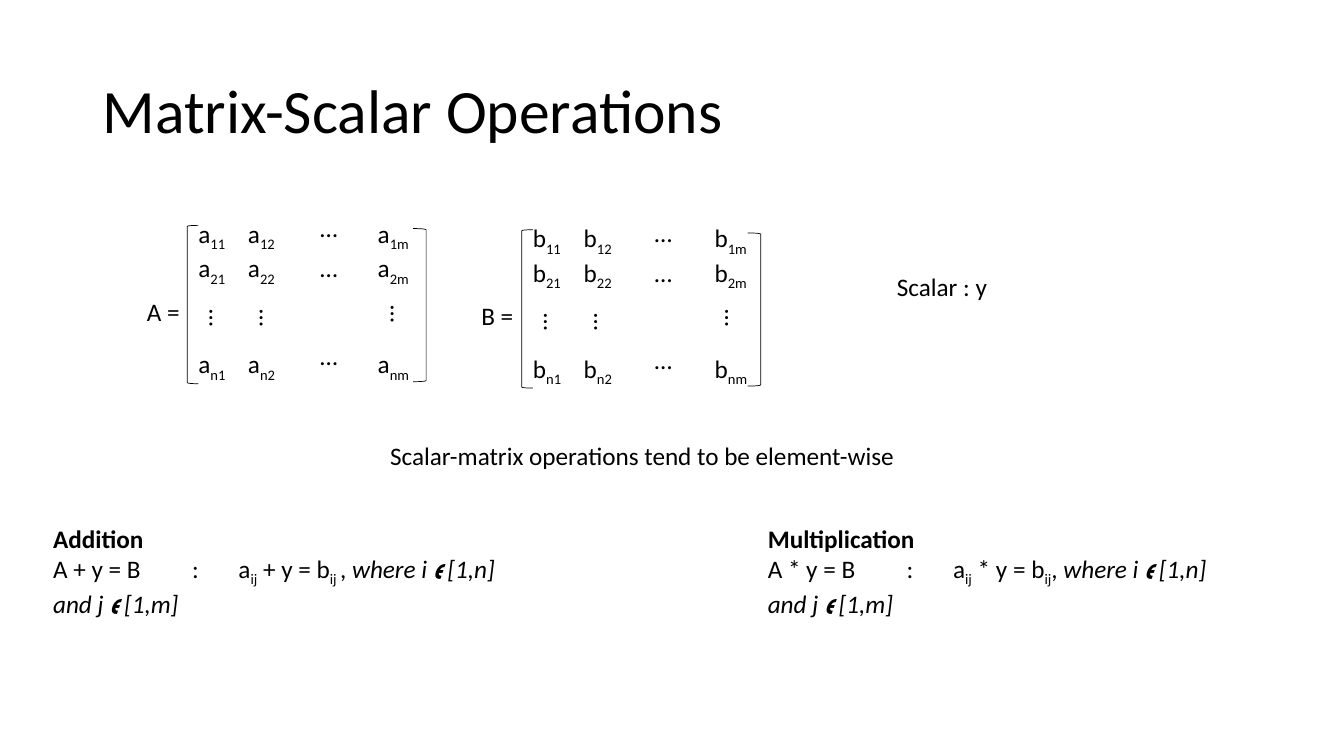
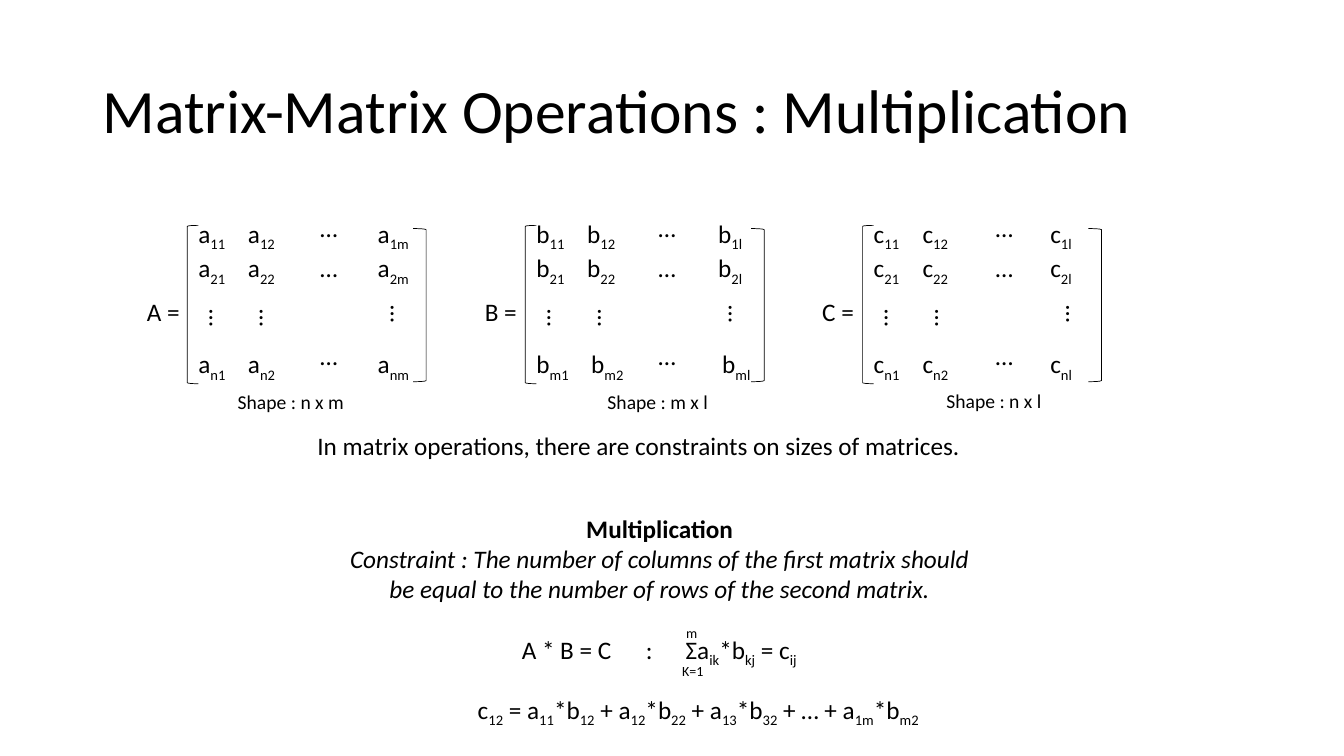
"""Build two slides on matrix-scalar and matrix-matrix operations."""
from lxml import etree
from pptx import Presentation
from pptx.dml.color import RGBColor
from pptx.enum import shapes, text as txt
from pptx.oxml import ns
from pptx.util import Cm, Pt

INK = "000000"
FONT = "Calibri"


def box(slide, x, y, w, h, wrap=True):
    added = slide.shapes.add_textbox(Cm(x), Cm(y), Cm(w), Cm(h))
    added.text_frame.word_wrap = wrap
    return added


def write(frame, content, size=18, bold=False, italic=False, align="LEFT",
          before=0, spacing=None, tabs=(), join=False):
    """Write a paragraph, or extend the last one; {braces} mark subscripts."""
    para = frame.paragraphs[-1]
    if para.runs and not join:
        para = frame.add_paragraph()
    if not join:
        para.alignment = getattr(txt.PP_ALIGN, align)
        if before:
            para.space_before = Pt(before)
        if spacing:
            para.line_spacing = spacing
        if tabs:
            stops = etree.SubElement(para._p.get_or_add_pPr(), ns.qn("a:tabLst"))
            for stop in tabs:
                etree.SubElement(stops, ns.qn("a:tab"), pos=str(Cm(stop)), algn="l")
    for i, piece in enumerate(content.replace("}", "{").split("{")):
        if not piece:
            continue
        run = para.add_run()
        run.text = piece
        run.font.name = FONT
        run.font.size = Pt(size)
        run.font.bold = bold
        run.font.italic = italic
        run.font.color.rgb = RGBColor.from_string(INK)
        if i % 2:
            run._r.get_or_add_rPr().set("baseline", "-25000")


deck = Presentation()
deck.slide_width, deck.slide_height = Cm(33.87), Cm(19.05)

TITLES = ["Matrix-Scalar Operations", "Matrix-Matrix Operations : Multiplication"]
pages = []
for heading in TITLES:
    page = deck.slides.add_slide(deck.slide_layouts[5])
    title = page.shapes.title
    title.left, title.top, title.width, title.height = Cm(2.33), Cm(1.01), Cm(29.21), Cm(3.68)
    title.text_frame.vertical_anchor = txt.MSO_ANCHOR.MIDDLE
    write(title.text_frame, heading, size=44, spacing=0.9)
    pages.append(page)
scalar_page, product_page = pages

MATRICES = [
    (scalar_page, "a", 4.75, 5.38, "n", "m", (1.25, 4.52), 0),
    (scalar_page, "b", 13.18, 5.49, "n", "m", (1.28, 4.58), 0),
    (product_page, "a", 4.75, 5.38, "n", "m", (1.25, 4.52), 0),
    (product_page, "b", 13.27, 5.38, "m", "l", (1.28, 4.58), 0.1),
    (product_page, "c", 21.77, 5.38, "n", "l", (1.23, 4.45), 0),
]
ELLIPSES = [(3.07, -0.15, 0), (3.07, 0.86, 0), (3.07, 3.07, 0),
            (0.28, 2.16, 90), (1.55, 2.16, 90), (4.85, 2.06, 90)]
BRACKETS = [(shapes.MSO_SHAPE.LEFT_BRACKET, -0.03, 0.3, 0.28, 3.99),
            (shapes.MSO_SHAPE.RIGHT_BRACKET, 5.66, 0.38, 0.33, 3.86)]

for page, letter, x, y, last_row, last_col, columns, shift in MATRICES:
    entries = box(page, x, y, 6.65, 4.11).text_frame
    for row in ("1", "2", last_row):
        final = row == last_row
        write(entries, "\t".join(f"{letter}{{{row}{col}}}" for col in ("1", "2", last_col)),
              tabs=[stop + shift * final for stop in columns], before=44 if final else 0)
    for dx, dy, angle in ELLIPSES:
        ellipsis = box(page, x + dx, y + dy, 1, 1.02, wrap=False)
        ellipsis.rotation = angle
        write(ellipsis.text_frame, "…")
    for kind, dx, dy, w, h in BRACKETS:
        bracket = page.shapes.add_shape(kind, Cm(x + dx), Cm(y + dy), Cm(w), Cm(h))
        bracket.shadow.inherit = False
        bracket.fill.background()
        bracket.line.color.rgb = RGBColor.from_string(INK)
        bracket.line.width = Pt(0.5)
    write(box(page, x - 1.3, y + 1.96, 1.35, 1.02, wrap=False).text_frame, f"{letter.upper()} =")

LINES = [
    (scalar_page, 22.35, 6.71, 7.62, 1.02, 18, "Scalar : y"),
    (scalar_page, 9.58, 10.97, 13.39, 1.02, 18, "Scalar-matrix operations tend to be element-wise"),
    (product_page, 7.75, 10.72, 17.78, 1.02, 18,
     "In matrix operations, there are constraints on sizes of matrices."),
    (product_page, 16.94, 16.56, 1.55, 0.69, 10, "K=1"),
    (product_page, 17.04, 15.62, 1.02, 0.69, 10, "m"),
    (product_page, 5.74, 9.7, 3.4, 0.86, 14, "Shape : n x m"),
    (product_page, 15.06, 9.7, 3.4, 0.86, 14, "Shape : m x l"),
    (product_page, 23.6, 9.68, 3.4, 0.86, 14, "Shape : n x l"),
    (product_page, 11.79, 17.37, 12.52, 1.02, 18,
     "c{12} = a{11}*b{12} + a{12}*b{22} + a{13}*b{32} + … + a{1m}*b{m2}"),
]
for page, x, y, w, h, size, content in LINES:
    write(box(page, x, y, w, h).text_frame, content, size=size)

OPERATIONS = [
    (1.09, "Addition", "A + y = B\t:\ta{ij} + y = b{ij }, "),
    (19.1, "Multiplication", "A * y = B\t:\ta{ij} * y = b{ij}, "),
]
for x, operation, formula in OPERATIONS:
    rule = box(scalar_page, x, 13.06, 11.84, 2.57).text_frame
    write(rule, operation, bold=True)
    write(rule, formula, tabs=(3.5, 4.67))
    write(rule, "where i 𝛜 [1,n] and j 𝛜 [1,m]", italic=True, join=True)

product = box(product_page, 8.28, 12.8, 16.69, 4.11).text_frame
write(product, "Multiplication", bold=True, align="CENTER")
write(product, "Constraint : The number of columns of the first matrix should "
      "be equal to the number of rows of the second matrix.", italic=True, align="CENTER")
write(product, "\tA * B = C\t:\tΣa{ik}*b{kj} = c{ij}", before=22, tabs=(4.62, 7.75, 8.75))

deck.save("out.pptx")
